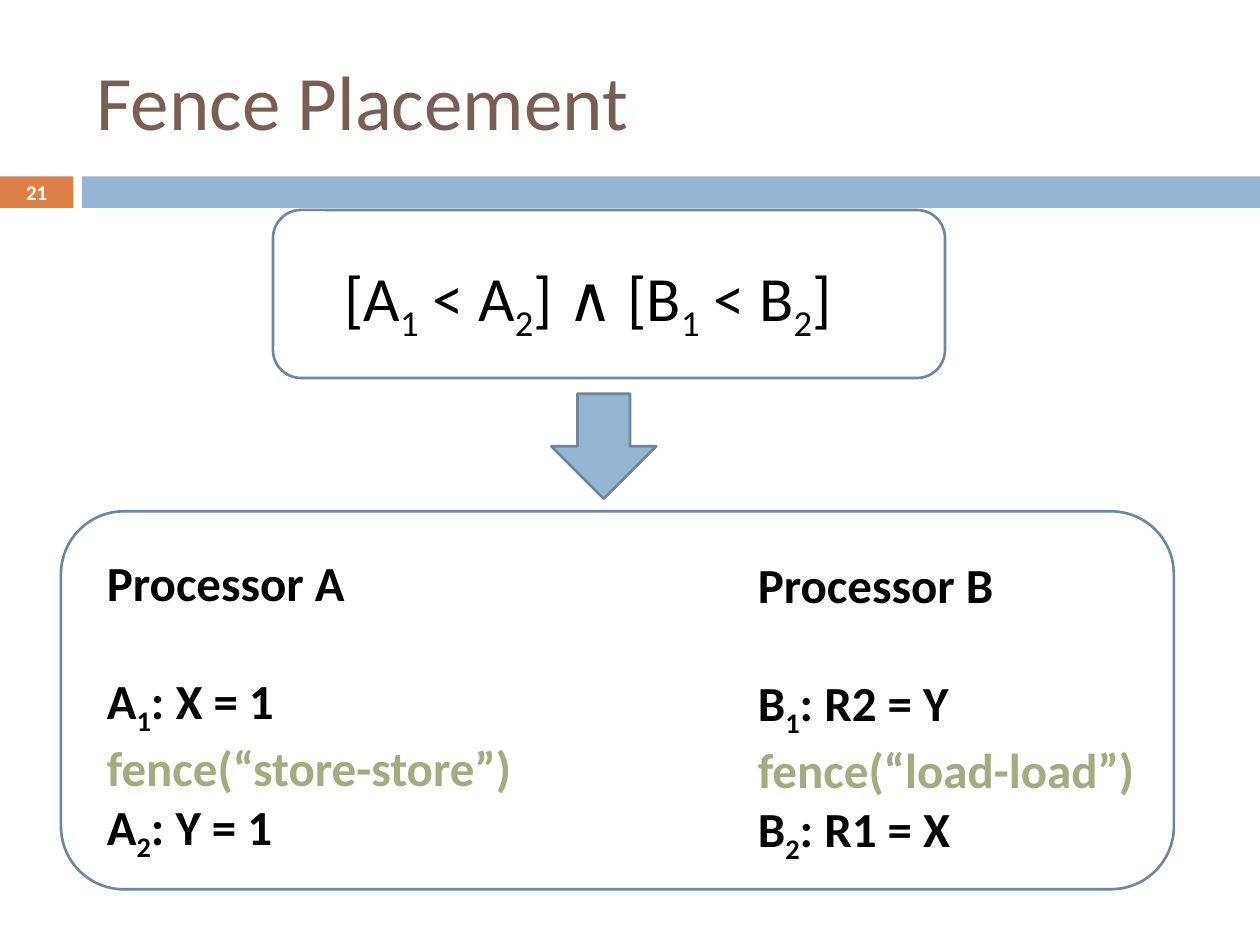
from dataclasses import dataclass

from pptx import Presentation
from pptx.dml.color import RGBColor
from pptx.enum.shapes import MSO_SHAPE
from pptx.enum.text import MSO_ANCHOR, PP_ALIGN
from pptx.util import Inches, Pt


@dataclass(frozen=True)
class Theme:
    font: str = "Calibri"
    title: str = "775F55"
    text: str = "000000"
    fence: str = "A5AB81"
    inverse: str = "FFFFFF"
    accent: str = "DD8047"
    bar: str = "94B6D2"
    outline: str = "6D879B"
    title_size: float = 44
    formula_size: float = 36
    code_size: float = 28
    number_size: float = 11.9
    line_width: float = 1.5


THEME = Theme()
COLUMNS, ROWS = 120, 90

# Underscores enclose subscripts.
TITLE = "Fence Placement"
SLIDE_NUMBER = "21"
FORMULA = "[A_1_ < A_2_] ∧ [B_1_ < B_2_]"

# Places are column, row, width and height in grid cells.
TITLE_PLACE = (8, 3, 107, 13)
NUMBER_PLACE = (0, 16.7, 7, 3.2)
FORMULA_PLACE = (29.5, 24, 53, 8.5)
PROCESSORS = [
    ((71, 52.2, 44, 29.5), "Processor B",
     ["B_1_: R2 = Y", "fence(“load-load”)", "B_2_: R1 = X"]),
    ((9, 52, 46, 29.5), "Processor A",
     ["A_1_: X = 1", "fence(“store-store”)", "A_2_: Y = 1"]),
]
BARS = [
    ((0, 16.8, 7, 3), THEME.accent),
    ((7.8, 16.8, 112.2, 3), THEME.bar),
]
OUTLINED_SHAPES = [
    (MSO_SHAPE.ROUNDED_RECTANGLE, (5.8, 48.7, 106, 36), None),
    (MSO_SHAPE.ROUNDED_RECTANGLE, (26, 20, 64, 16), None),
    (MSO_SHAPE.DOWN_ARROW, (52.5, 37.5, 10, 10), THEME.bar),
]

presentation = Presentation()
presentation.slide_width, presentation.slide_height = Inches(10), Inches(7.5)
slide = presentation.slides.add_slide(presentation.slide_layouts[5])


def grid(place):
    cell_width = presentation.slide_width / COLUMNS
    cell_height = presentation.slide_height / ROWS
    return [round(value * cell)
            for value, cell in zip(place, (cell_width, cell_height) * 2)]


def add_shape(kind, place, fill=None, outline=None):
    shape = slide.shapes.add_shape(kind, *grid(place))
    shape.shadow.inherit = False
    if fill:
        shape.fill.solid()
        shape.fill.fore_color.rgb = RGBColor.from_string(fill)
    else:
        shape.fill.background()
    if outline:
        shape.line.color.rgb = RGBColor.from_string(outline)
        shape.line.width = Pt(THEME.line_width)
    else:
        shape.line.fill.background()


def add_runs(paragraph, text, size, color, bold=False):
    """Add runs, lowering every part between two underscores."""
    for index, part in enumerate(text.split("_")):
        run = paragraph.add_run()
        run.text = part
        run.font.name = THEME.font
        run.font.size = Pt(size)
        run.font.bold = bold
        run.font.color.rgb = RGBColor.from_string(color)
        if index % 2:
            run.font._element.set("baseline", "-25000")


def add_text_frame(place, wrap=True):
    frame = slide.shapes.add_textbox(*grid(place)).text_frame
    frame.word_wrap = wrap
    return frame


def add_processor(place, heading, instructions):
    frame = add_text_frame(place)
    add_runs(frame.paragraphs[0], heading, THEME.code_size, THEME.text, True)
    for index, instruction in enumerate(instructions):
        paragraph = frame.add_paragraph()
        if index == 0:
            paragraph.space_before = Pt(34)
        color = THEME.fence if instruction.startswith("fence") else THEME.text
        add_runs(paragraph, instruction, THEME.code_size, color, True)


for place, color in BARS:
    add_shape(MSO_SHAPE.RECTANGLE, place, fill=color)

title = slide.shapes.title
title.left, title.top, title.width, title.height = grid(TITLE_PLACE)
title.text_frame.vertical_anchor = MSO_ANCHOR.MIDDLE
title_paragraph = title.text_frame.paragraphs[0]
title_paragraph.alignment = PP_ALIGN.LEFT
add_runs(title_paragraph, TITLE, THEME.title_size, THEME.title)

for processor in PROCESSORS:
    add_processor(*processor)

formula = add_text_frame(FORMULA_PLACE, wrap=False).paragraphs[0]
formula.alignment = PP_ALIGN.CENTER
add_runs(formula, FORMULA, THEME.formula_size, THEME.text)

for kind, place, fill in OUTLINED_SHAPES:
    add_shape(kind, place, fill, THEME.outline)

number_frame = add_text_frame(NUMBER_PLACE)
number_frame.vertical_anchor = MSO_ANCHOR.MIDDLE
number_frame.margin_top = number_frame.margin_bottom = 0
number_frame.paragraphs[0].alignment = PP_ALIGN.CENTER
add_runs(number_frame.paragraphs[0], SLIDE_NUMBER, THEME.number_size,
         THEME.inverse, True)

presentation.save("out.pptx")
